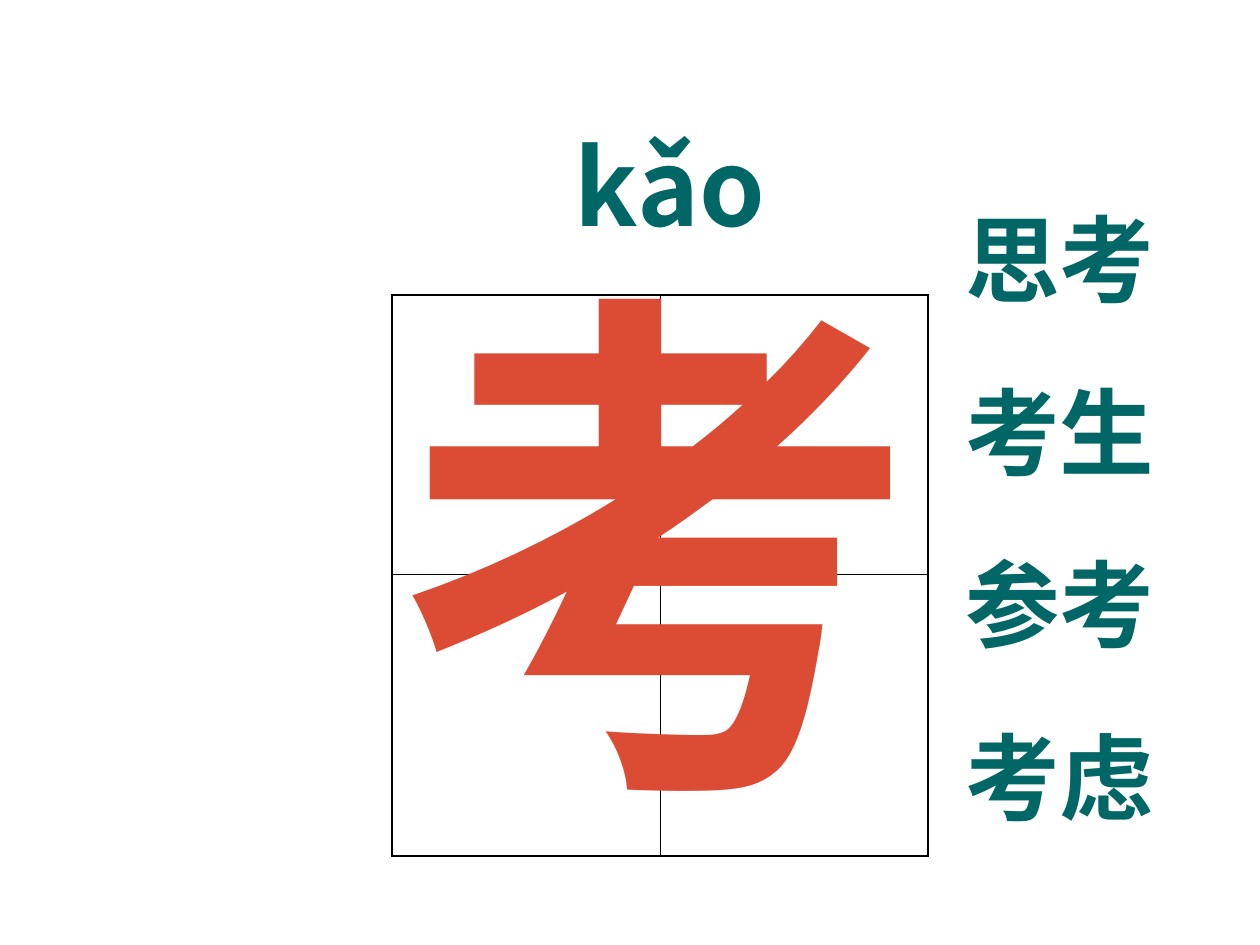
"""Build a Chinese character card for 考 with its pinyin and example words."""
import pptx
import pptx.dml.color
import pptx.enum.text
import pptx.oxml.ns
import pptx.util
from lxml import etree

PX = 914400 // 126
TEAL = "006666"
RED = "DC4C34"
HAN_FONT = "Noto Sans CJK SC"


def color(value):
    return pptx.dml.color.RGBColor.from_string(value)


def add_run(paragraph, text, size, font_name, value):
    run = paragraph.add_run()
    run.text = text
    run.font.size = pptx.util.Pt(size)
    run.font.name = font_name
    run.font.bold = True
    run.font.color.rgb = color(value)
    properties = run._r.get_or_add_rPr()
    east_asian = etree.SubElement(properties, pptx.oxml.ns.qn("a:ea"))
    east_asian.set("typeface", HAN_FONT)


presentation = pptx.Presentation()
presentation.slide_width = 1260 * PX
presentation.slide_height = 945 * PX
slide = presentation.slides.add_slide(presentation.slide_layouts[5])

title = slide.shapes.title
title.left, title.top, title.width, title.height = 392 * PX, 106 * PX, 556 * PX, 158 * PX
title.text_frame.vertical_anchor = pptx.enum.text.MSO_ANCHOR.MIDDLE
paragraph = title.text_frame.paragraphs[0]
paragraph.alignment = pptx.enum.text.PP_ALIGN.CENTER
add_run(paragraph, "kǎo", 60, HAN_FONT, TEAL)

grid = slide.shapes.add_table(2, 2, 392 * PX, 295 * PX, 537 * PX, 561 * PX).table
grid.first_row = False
grid.horz_banding = False
for column in grid.columns:
    column.width = 268 * PX
for row, height in zip(grid.rows, (279, 282)):
    row.height = height * PX
for row in range(2):
    for column in range(2):
        cell = grid.cell(row, column)
        properties = cell._tc.get_or_add_tcPr()
        outer = {"lnL": column == 0, "lnR": column == 1, "lnT": row == 0, "lnB": row == 1}
        for side, is_outer in outer.items():
            width = pptx.util.Pt(1.08 if is_outer else 0.45)
            border = etree.SubElement(properties, pptx.oxml.ns.qn("a:" + side), w=str(int(width)))
            fill = etree.SubElement(border, pptx.oxml.ns.qn("a:solidFill"))
            etree.SubElement(fill, pptx.oxml.ns.qn("a:srgbClr"), val="000000")
        cell.fill.background()

character_box = slide.shapes.add_textbox(382 * PX, 214 * PX, 486 * PX, 643 * PX)
character_box.text_frame.word_wrap = True
add_run(character_box.text_frame.paragraphs[0], "考", 300, "Arial", RED)

words_box = slide.shapes.add_textbox(953 * PX, 195 * PX, 307 * PX, 816 * PX)
frame = words_box.text_frame
frame.word_wrap = True
for index, word in enumerate(("思考", "考生", "参考", "考虑")):
    paragraph = frame.add_paragraph() if index else frame.paragraphs[0]
    if index:
        paragraph.space_before = pptx.util.Pt(33.8)
    add_run(paragraph, word, 54, HAN_FONT, TEAL)

presentation.save("out.pptx")
